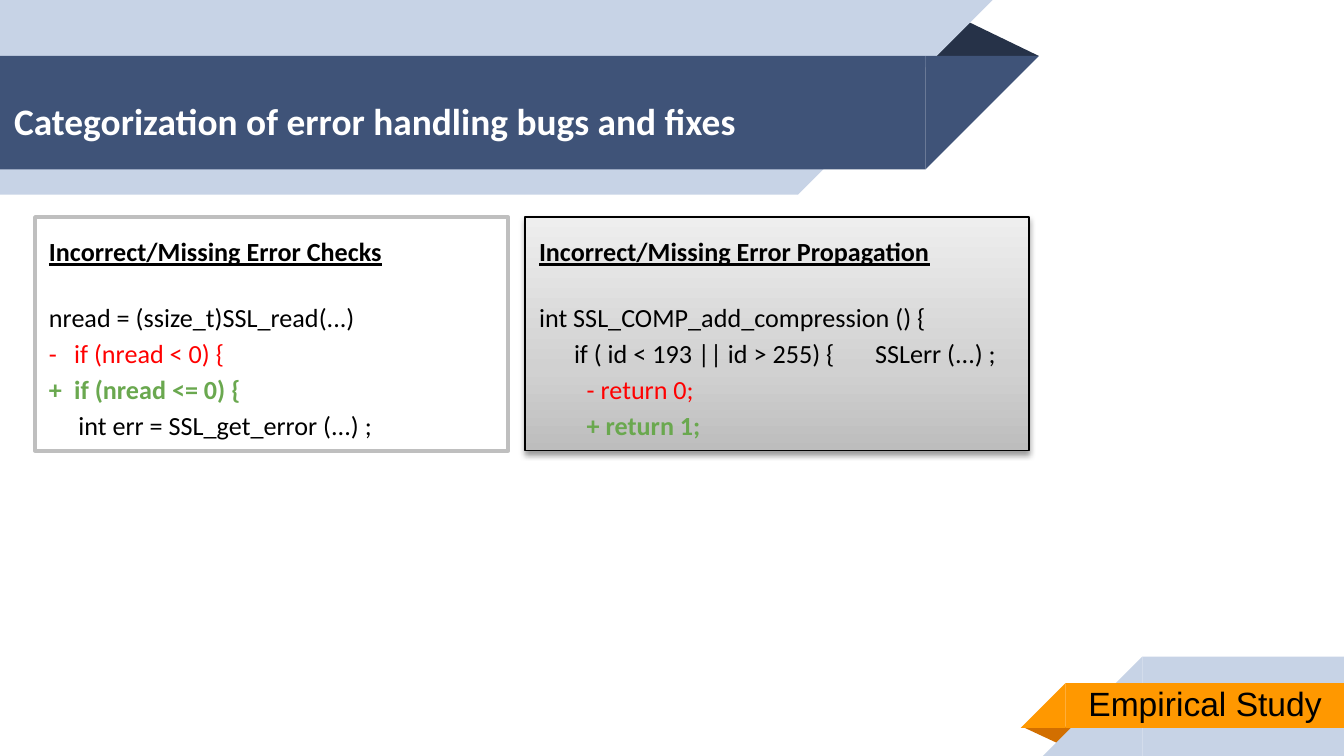
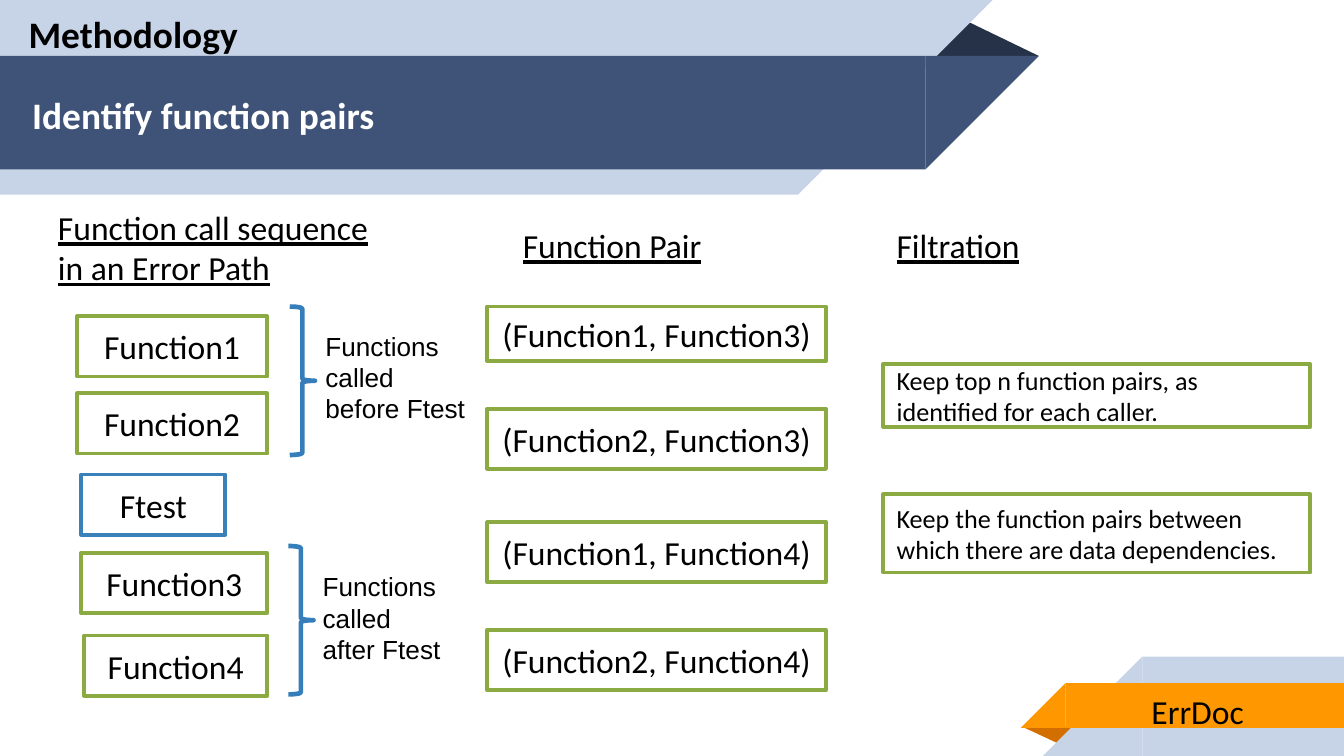
"""Build two slides on error handling bugs: their categories and the function pairs."""
import copy

import lxml.etree
import pptx
import pptx.dml.color
import pptx.enum.shapes
import pptx.enum.text
import pptx.oxml.ns
import pptx.util

PX = 9525
SHAPE = pptx.enum.shapes.MSO_SHAPE
ANCHOR = pptx.enum.text.MSO_ANCHOR
ALIGN = pptx.enum.text.PP_ALIGN
colour = pptx.dml.color.RGBColor.from_string
qn = pptx.oxml.ns.qn

BLACK, WHITE = "000000", "FFFFFF"
PALE, NAVY, SHADE = "C7D3E6", "3F5378", "263248"
ORANGE, RUST = "FF9800", "D26F00"
GREEN, BLUE, BRACE_BLUE = "8BAB42", "3A81BA", "367EB9"
REMOVED, ADDED = "FF0000", "6AA84F"


def draw(slide, geometry, box, fill=None, line=None, weight=2):
    shape = slide.shapes.add_shape(geometry, *[n * PX for n in box])
    shape.shadow.inherit = False
    if fill:
        shape.fill.solid()
        shape.fill.fore_color.rgb = colour(fill)
    else:
        shape.fill.background()
    if line:
        shape.line.color.rgb = colour(line)
        shape.line.width = pptx.util.Pt(weight)
    else:
        shape.line.fill.background()
    return shape


def write(paragraph, text, size, ink=BLACK, bold=False, underline=False,
          font="Calibri", align=ALIGN.LEFT):
    paragraph.alignment = align
    run = paragraph.add_run()
    run.text = text
    run.font.name = font
    run.font.size = pptx.util.Pt(size)
    run.font.bold = bold
    run.font.underline = underline
    run.font.color.rgb = colour(ink)


deck = pptx.Presentation()
deck.slide_width = 960 * PX
deck.slide_height = 540 * PX
layout = deck.slide_layouts[5]
for footer in list(layout.placeholders)[1:]:
    footer._element.getparent().remove(footer._element)
categories = deck.slides.add_slide(layout)
pairs = deck.slides.add_slide(layout)

bands = [
    (SHAPE.ISOSCELES_TRIANGLE, (660, 13, 82, 27), SHADE, 0),
    (SHAPE.RECTANGLE, (0, 0, 570, 139), PALE, 0),
    (SHAPE.RIGHT_TRIANGLE, (570, 0, 139, 139), PALE, 90),
    (SHAPE.RECTANGLE, (0, 40, 661, 81), NAVY, 0),
    (SHAPE.RIGHT_TRIANGLE, (661, 40, 81, 81), NAVY, 90),
    (SHAPE.ISOSCELES_TRIANGLE, (730, 519, 41, 13), RUST, 180),
    (SHAPE.RECTANGLE, (816, 469, 144, 71), PALE, 0),
    (SHAPE.RIGHT_TRIANGLE, (745, 469, 71, 71), PALE, 270),
    (SHAPE.RECTANGLE, (761, 488, 199, 32), ORANGE, 0),
    (SHAPE.RIGHT_TRIANGLE, (729, 488, 32, 32), ORANGE, 270),
]
ribbons = []
for geometry, box, fill, turn in bands:
    ribbon = draw(categories, geometry, box, fill)
    ribbon.rotation = turn
    if geometry == SHAPE.ISOSCELES_TRIANGLE:
        ribbon.adjustments[0] = 0.32
    ribbons.append(ribbon)
for ribbon in ribbons:
    layout.shapes._spTree.append(ribbon._element)

headings = [
    (categories, "Categorization of error handling bugs and fixes", (0, 60, 895, 60), ANCHOR.TOP),
    (pairs, "Identify function pairs", (13, 41, 670, 81), ANCHOR.MIDDLE),
]
for slide, text, box, anchor in headings:
    title = slide.shapes.title
    title.left, title.top, title.width, title.height = [n * PX for n in box]
    frame = title.text_frame
    frame.auto_size = pptx.enum.text.MSO_AUTO_SIZE.NONE
    frame.vertical_anchor = anchor
    frame.margin_left = frame.margin_right = frame.margin_top = frame.margin_bottom = 10 * PX
    write(frame.paragraphs[0], text, 20, WHITE, bold=True)

checks = draw(categories, SHAPE.RECTANGLE, (25, 155, 338, 167), WHITE, "BFBFBF")
propagation = draw(categories, SHAPE.RECTANGLE, (375, 155, 360, 167), WHITE, BLACK, 0.75)

propagation.fill.gradient()
propagation.fill.gradient_angle = 90
stop_list = propagation._element.spPr.find(".//" + qn("a:gsLst"))
stop_list.insert(1, copy.deepcopy(stop_list[0]))
for stop, (position, grey) in zip(propagation.fill.gradient_stops,
                                  [(0, "BDBDBD"), (0.35, "D1D1D1"), (1, "EEEEEE")]):
    stop.position = position
    stop.color.rgb = colour(grey)

effects = propagation._element.spPr.find(qn("a:effectLst"))
shadow = lxml.etree.SubElement(effects, qn("a:outerShdw"), blurRad="39370", dist="20320",
                               dir="5400000", rotWithShape="0")
shadow_ink = lxml.etree.SubElement(shadow, qn("a:srgbClr"), val=BLACK)
lxml.etree.SubElement(shadow_ink, qn("a:alpha"), val="38000")

snippets = [
    (checks, "Incorrect/Missing Error Checks", [
        ("nread = (ssize_t)SSL_read(...)", BLACK, 0, 0),
        ("-\tif (nread < 0) {", REMOVED, 18, -18),
        ("+\tif (nread <= 0) {", ADDED, 18, -18),
        ("int err = SSL_get_error (...) ;", BLACK, 0, 21),
    ]),
    (propagation, "Incorrect/Missing Error Propagation", [
        ("int SSL_COMP_add_compression () {", BLACK, 0, 0),
        ("if ( id < 193 || id > 255) {\tSSLerr (...) ;", BLACK, 0, 25),
        ("- return 0;", REMOVED, 0, 34),
        ("+ return 1;", ADDED, 0, 34),
    ]),
]
for panel, heading, code in snippets:
    frame = panel.text_frame
    frame.word_wrap = True
    frame.vertical_anchor = ANCHOR.TOP
    frame.margin_left = frame.margin_right = frame.margin_top = frame.margin_bottom = 10 * PX
    caption = frame.paragraphs[0]
    caption.line_spacing = 1.15
    caption.space_after = pptx.util.Pt(16)
    write(caption, heading, 14, bold=True, underline=True)
    for text, ink, margin, indent in code:
        statement = frame.add_paragraph()
        statement.line_spacing = 1.15
        write(statement, text, 14, ink, bold=ink == ADDED)
        properties = statement._p.get_or_add_pPr()
        properties.set("marL", str(margin * PX))
        properties.set("indent", str(indent * PX))
        if "{\t" in text:
            tabs = lxml.etree.SubElement(properties, qn("a:tabLst"))
            lxml.etree.SubElement(tabs, qn("a:tab"), pos=str(228 * PX), algn="l")

boxes = [
    ("Function1", (55, 226, 136, 43), GREEN),
    ("Function2", (55, 281, 136, 43), GREEN),
    ("Ftest", (58, 339, 103, 43), BLUE),
    ("Function3", (58, 395, 133, 43), GREEN),
    ("Function4", (60, 454, 131, 43), GREEN),
    ("(Function1, Function3)", (348, 219, 242, 39), GREEN),
    ("(Function2, Function3)", (348, 292, 242, 43), GREEN),
    ("(Function1, Function4)", (348, 373, 242, 43), GREEN),
    ("(Function2, Function4)", (348, 450, 242, 43), GREEN),
    ("Keep top n function pairs, as identified for each caller.", (631, 260, 305, 45), GREEN),
    ("Keep the function pairs between which there are data dependencies.",
     (631, 353, 305, 56), GREEN),
]
for text, box, outline in boxes:
    frame = draw(pairs, SHAPE.RECTANGLE, box, WHITE, outline).text_frame
    frame.word_wrap = True
    frame.vertical_anchor = ANCHOR.MIDDLE
    is_rule = text.startswith("Keep")
    write(frame.paragraphs[0], text, 14 if is_rule else 18,
          align=ALIGN.LEFT if is_rule else ALIGN.CENTER)

for box in [(207, 219, 18, 106), (206, 390, 18, 106)]:
    draw(pairs, SHAPE.RIGHT_BRACE, box, None, BRACE_BLUE, 2.5)

plain = {"size": 18}
underlined = {"size": 18, "underline": True}
note = {"size": 14, "font": "Arial"}
labels = [
    (categories, ["Empirical Study"], (768, 483, 188, 38), {"size": 18, "font": "Arial"}),
    (pairs, ["ErrDoc"], (813, 489, 86, 38), plain),
    (pairs, ["Methodology"], (11, 3, 577, 71), {"size": 20, "bold": True}),
    (pairs, ["Function call sequence", "in an Error Path"], (32, 143, 244, 68), underlined),
    (pairs, ["Function Pair"], (364, 156, 149, 38), underlined),
    (pairs, ["Filtration"], (631, 156, 108, 38), underlined),
    (pairs, ["Functions", "called", "before Ftest"], (223, 231, 120, 78), note),
    (pairs, ["Functions", "called", "after Ftest"], (221, 403, 106, 78), note),
]
for slide, lines, box, style in labels:
    frame = slide.shapes.add_textbox(*[n * PX for n in box]).text_frame
    frame.word_wrap = "Methodology" in lines
    for number, text in enumerate(lines):
        write(frame.add_paragraph() if number else frame.paragraphs[0], text, **style)

deck.save("out.pptx")
